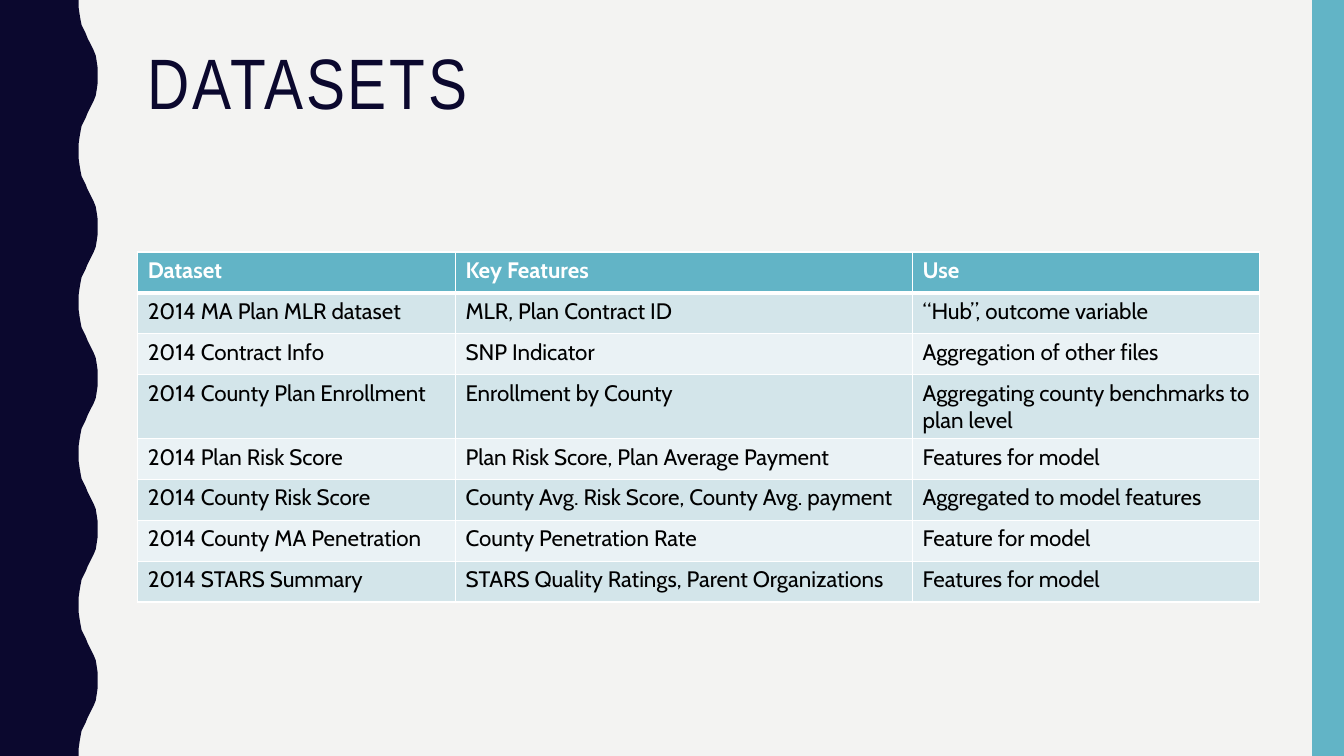
from lxml import etree
from pptx import Presentation
from pptx.dml.color import RGBColor
from pptx.enum.shapes import MSO_SHAPE as Shape
from pptx.enum.text import MSO_ANCHOR as Anchor
from pptx.oxml import parse_xml
from pptx.oxml.ns import nsdecls, qn
from pptx.util import Cm, Pt

TITLE = "DATASETS"
HEADER = ("Dataset", "Key Features", "Use")
DATASETS = [
    ("2014 MA Plan MLR dataset", "MLR, Plan Contract ID", "“Hub”, outcome variable"),
    ("2014 Contract Info", "SNP Indicator", "Aggregation of other files"),
    ("2014 County Plan Enrollment", "Enrollment by County", "Aggregating county benchmarks to plan level"),
    ("2014 Plan Risk Score", "Plan Risk Score, Plan Average Payment", "Features for model"),
    ("2014 County Risk Score", "County Avg. Risk Score, County Avg. payment", "Aggregated to model features"),
    ("2014 County MA Penetration", "County Penetration Rate", "Feature for model"),
    ("2014 STARS Summary", "STARS Quality Ratings, Parent Organizations", "Features for model"),
]
COLUMN_WIDTHS = (8.01, 11.52, 8.75)
ROW_HEIGHT = 1.03

NAVY, TEAL, PAPER = "0B082E", "62B4C6", "F3F3F2"
WHITE, BLACK = "FFFFFF", "000000"
BANDS = ("D3E5EA", "EAF2F5")

WAVE_UNIT = Cm(0.0254)
WAVE_PERIOD, WAVE_COUNT = 150, 5
HALF_WAVE = [(78, 0), (78, 7), (79, 14), (80, 20), (81, 25), (83, 29), (85, 33), (87, 38),
             (89, 42), (91, 46), (93, 50), (95, 55), (96, 61), (97, 68), (97, 75)]


def color(value):
    return RGBColor.from_string(value)


def paint(shape, value):
    shape.shadow.inherit = False
    shape.fill.solid()
    shape.fill.fore_color.rgb = color(value)
    shape.line.fill.background()


def style_text(paragraph, font_name, size, value, bold=False):
    for run in paragraph.runs:
        run.font.name = font_name
        run.font.size = Pt(size)
        run.font.bold = bold
        run.font.color.rgb = color(value)


def add_border(cell, side, width):
    properties = cell._tc.get_or_add_tcPr()
    line = etree.SubElement(properties, qn(f"a:ln{side}"), w=str(Pt(width)))
    line.append(parse_xml(f'<a:solidFill {nsdecls("a")}><a:srgbClr val="{WHITE}"/></a:solidFill>'))


def add_wave(slide):
    wave = HALF_WAVE + [(x, WAVE_PERIOD - y) for x, y in HALF_WAVE[-2::-1]]
    edge = [(x, y + WAVE_PERIOD * i) for i in range(WAVE_COUNT) for x, y in wave]
    builder = slide.shapes.build_freeform(0, 0, scale=WAVE_UNIT)
    builder.add_line_segments(edge + [(0, WAVE_PERIOD * WAVE_COUNT)], close=True)
    paint(builder.convert_to_shape(), NAVY)


def add_title(slide):
    box = slide.shapes.add_textbox(Cm(3.47), Cm(1.07), Cm(28.27), Cm(4.14))
    frame = box.text_frame
    frame.word_wrap = True
    frame.vertical_anchor = Anchor.TOP
    frame.text = TITLE
    paragraph = frame.paragraphs[0]
    paragraph.line_spacing = 0.9
    style_text(paragraph, "Arial Narrow", 51, NAVY)
    paragraph.runs[0].font._element.set("spc", "200")


def add_dataset_table(slide):
    rows = [HEADER] + DATASETS
    frame = slide.shapes.add_table(len(rows), len(HEADER), Cm(3.47), Cm(6.35),
                                   Cm(sum(COLUMN_WIDTHS)), Cm(ROW_HEIGHT * len(rows)))
    table = frame.table
    for column, width in zip(table.columns, COLUMN_WIDTHS):
        column.width = Cm(width)
    for row_index, texts in enumerate(rows):
        table.rows[row_index].height = Cm(ROW_HEIGHT)
        is_header = row_index == 0
        fill = TEAL if is_header else BANDS[(row_index - 1) % 2]
        for column_index, text in enumerate(texts):
            cell = table.cell(row_index, column_index)
            cell.text_frame.text = text
            style_text(cell.text_frame.paragraphs[0], "Cabin", 16,
                       WHITE if is_header else BLACK, is_header)
            for side in "LRTB":
                below_header = (row_index, side) in ((0, "B"), (1, "T"))
                add_border(cell, side, 3 if below_header else 1)
            cell.fill.solid()
            cell.fill.fore_color.rgb = color(fill)


def main():
    presentation = Presentation()
    presentation.slide_width = Cm(33.87)
    presentation.slide_height = Cm(19.05)
    slide = presentation.slides.add_slide(presentation.slide_layouts[6])
    slide.background.fill.solid()
    slide.background.fill.fore_color.rgb = color(PAPER)
    add_wave(slide)
    side_bar = slide.shapes.add_shape(Shape.RECTANGLE, Cm(33.07), 0, Cm(0.8), Cm(19.05))
    paint(side_bar, TEAL)
    add_title(slide)
    add_dataset_table(slide)
    presentation.save("out.pptx")


if __name__ == "__main__":
    main()
